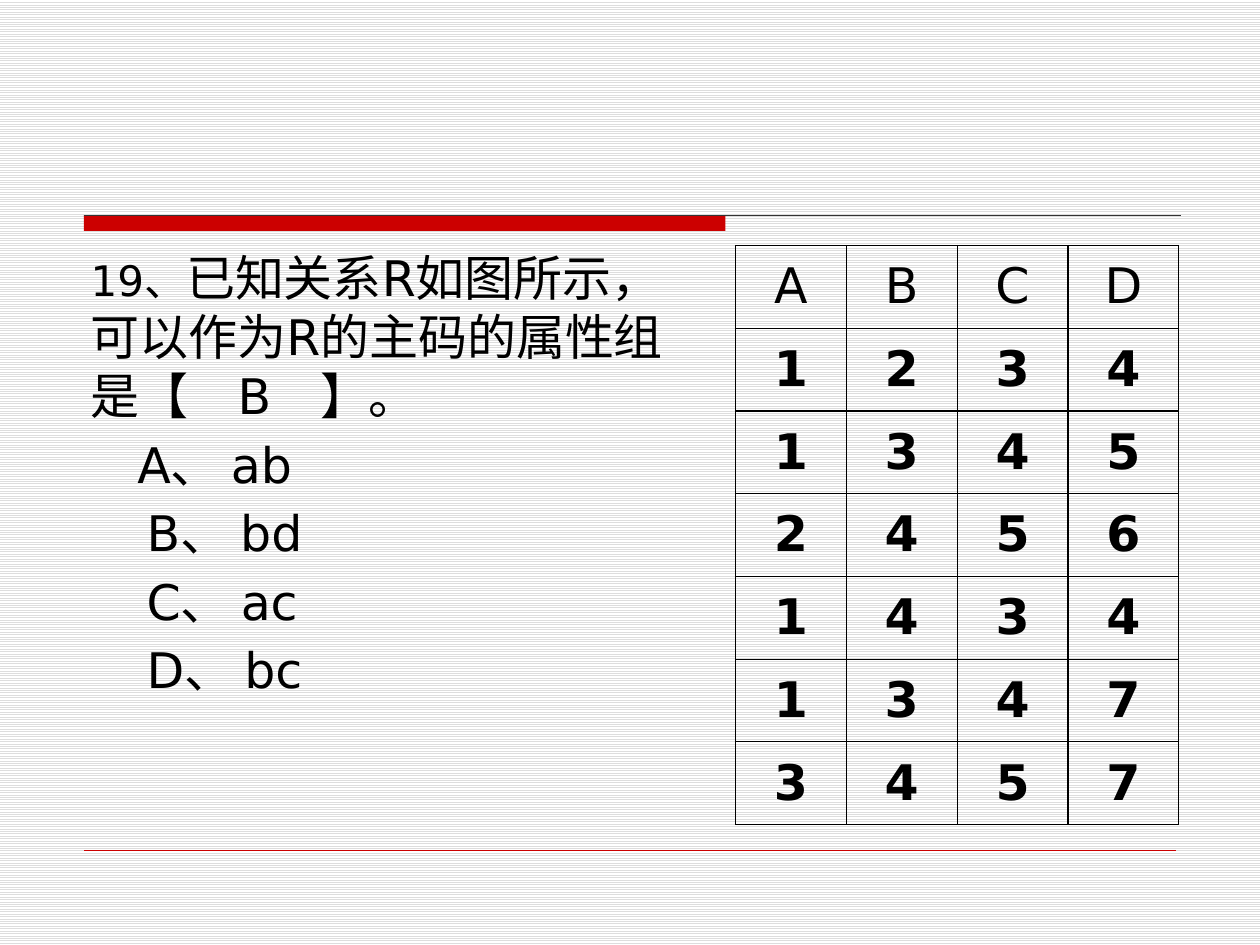
from lxml import etree
from pptx import Presentation
from pptx.dml.color import RGBColor
from pptx.enum.dml import MSO_PATTERN
from pptx.enum.shapes import MSO_CONNECTOR, MSO_SHAPE
from pptx.enum.text import MSO_ANCHOR, PP_ALIGN
from pptx.oxml.ns import qn
from pptx.util import Pt

LINE = MSO_CONNECTOR.STRAIGHT
RECT = MSO_SHAPE.RECTANGLE
MIDDLE = MSO_ANCHOR.MIDDLE
LEFT, CENTER = PP_ALIGN.LEFT, PP_ALIGN.CENTER
FONT = "DejaVu Sans"
COLORS = {"red": "CC0000", "ink": "000000", "rule": "333333",
          "stripe": "DDDDDD", "paper": "FFFFFF"}


def rgb(name):
    return RGBColor.from_string(COLORS[name])


def write(para, text, size=28, bold=False, align=LEFT):
    para.alignment = align
    run = para.add_run()
    run.text = text
    run.font.name = FONT
    run.font.size = Pt(size)
    run.font.bold = bold
    run.font.color.rgb = rgb("ink")


prs = Presentation()
prs.slide_width, prs.slide_height = Pt(720), Pt(540)
slide = prs.slides.add_slide(prs.slide_layouts[6])
shapes = slide.shapes

back = slide.background.fill
back.patterned()
back.pattern = MSO_PATTERN.LIGHT_HORIZONTAL
back.fore_color.rgb = rgb("stripe")
back.back_color.rgb = rgb("paper")

# Red band and the two rules
band = shapes.add_shape(RECT, Pt(48), Pt(123), Pt(366.5), Pt(9))
band.shadow.inherit = False
band.fill.solid()
band.fill.fore_color.rgb = rgb("red")
band.line.fill.background()

for y, end, color, width in ((123, 674.75, "rule", 0.75),
                             (486, 672, "red", 0.25)):
    rule = shapes.add_connector(LINE, Pt(48), Pt(y), Pt(end), Pt(y))
    rule.line.color.rgb = rgb(color)
    rule.line.width = Pt(width)
    etree.SubElement(rule._element.spPr, qn("a:effectLst"))

# Question and its options
box = shapes.add_textbox(Pt(44.75), Pt(138), Pt(356.5), Pt(336))
frame = box.text_frame
frame.word_wrap = True
ask = frame.paragraphs[0]
ask.space_before = Pt(5.6)
write(ask, "19、", size=24)
write(ask, "已知关系R如图所示，可以作为R的主码的属性组是【　B　】。")
for text, indent in (("A、 ab", 26.7), ("B、 bd", 32),
                     ("C、 ac", 32), ("D、 bc", 32)):
    para = frame.add_paragraph()
    para.space_before = Pt(5.6)
    para._p.get_or_add_pPr().set("marL", str(Pt(indent)))
    write(para, text)

# Relation R
rows = ["ABCD", "1234", "1345", "2456", "1434", "1347", "3457"]
wide, high = 63.36, 47.3
table = shapes.add_table(len(rows), 4, Pt(420.25), Pt(140.25),
                         Pt(4 * wide), Pt(len(rows) * high)).table
table.horz_banding = False
for col in table.columns:
    col.width = Pt(wide)
for r, row in enumerate(rows):
    table.rows[r].height = Pt(high)
    for c, text in enumerate(row):
        cell = table.cell(r, c)
        cell.vertical_anchor = MIDDLE
        write(cell.text_frame.paragraphs[0], text, bold=r > 0, align=CENTER)
        props = cell._tc.get_or_add_tcPr()
        for side in ("a:lnL", "a:lnR", "a:lnT", "a:lnB"):
            edge = etree.SubElement(props, qn(side), w=str(Pt(0.75)))
            fill = etree.SubElement(edge, qn("a:solidFill"))
            etree.SubElement(fill, qn("a:srgbClr"), val=COLORS["ink"])
        cell.fill.background()

prs.save("out.pptx")
